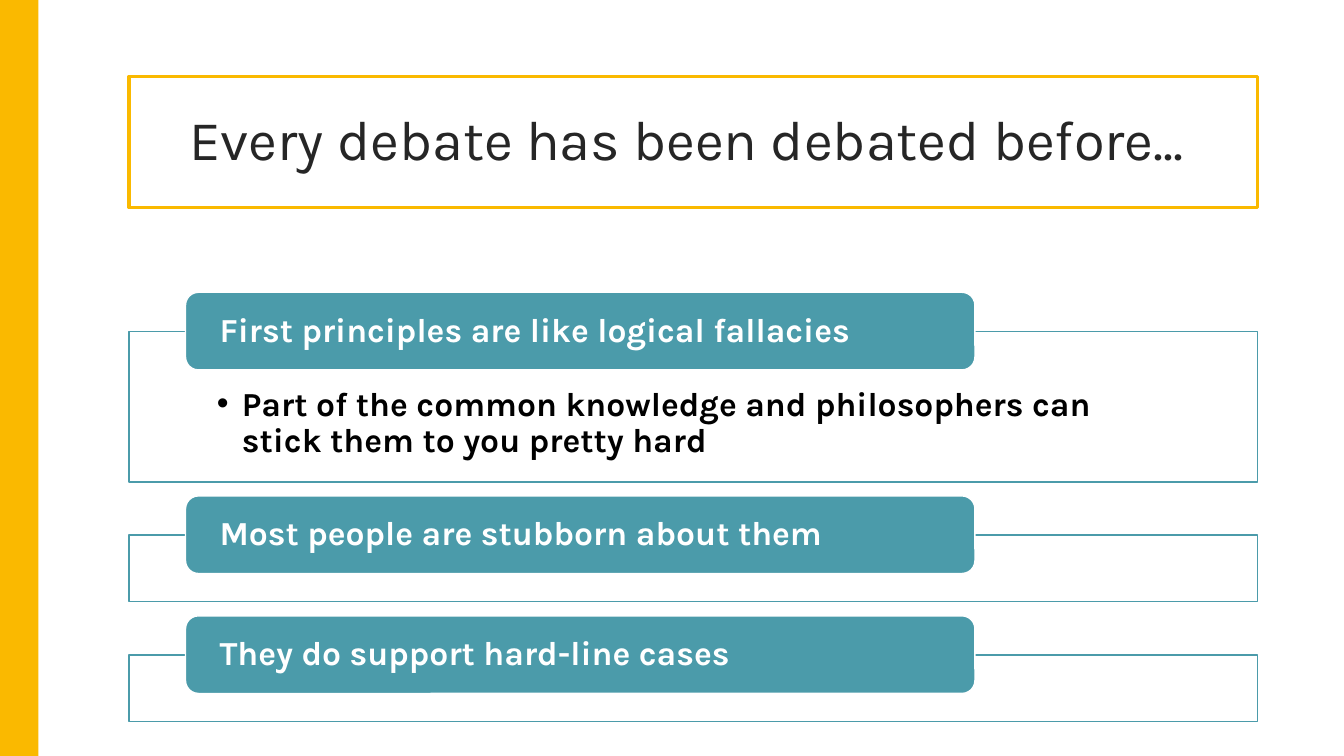
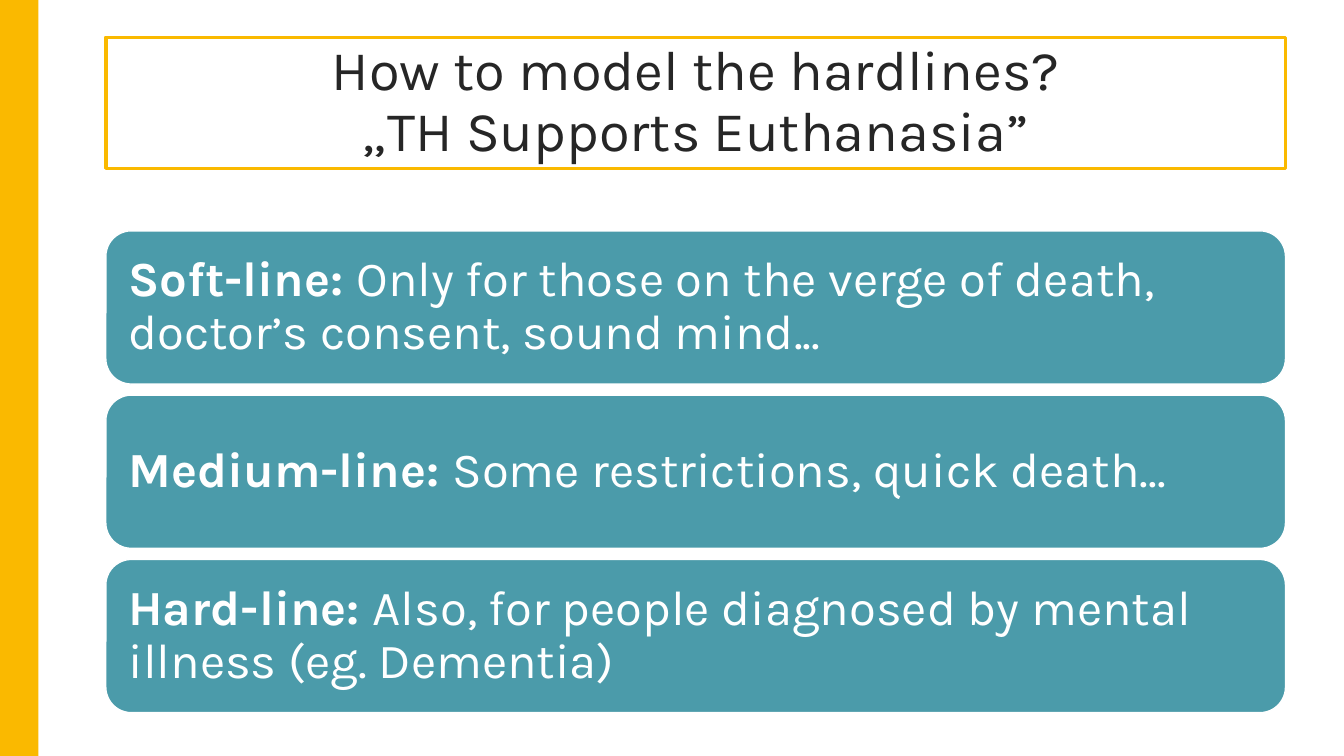
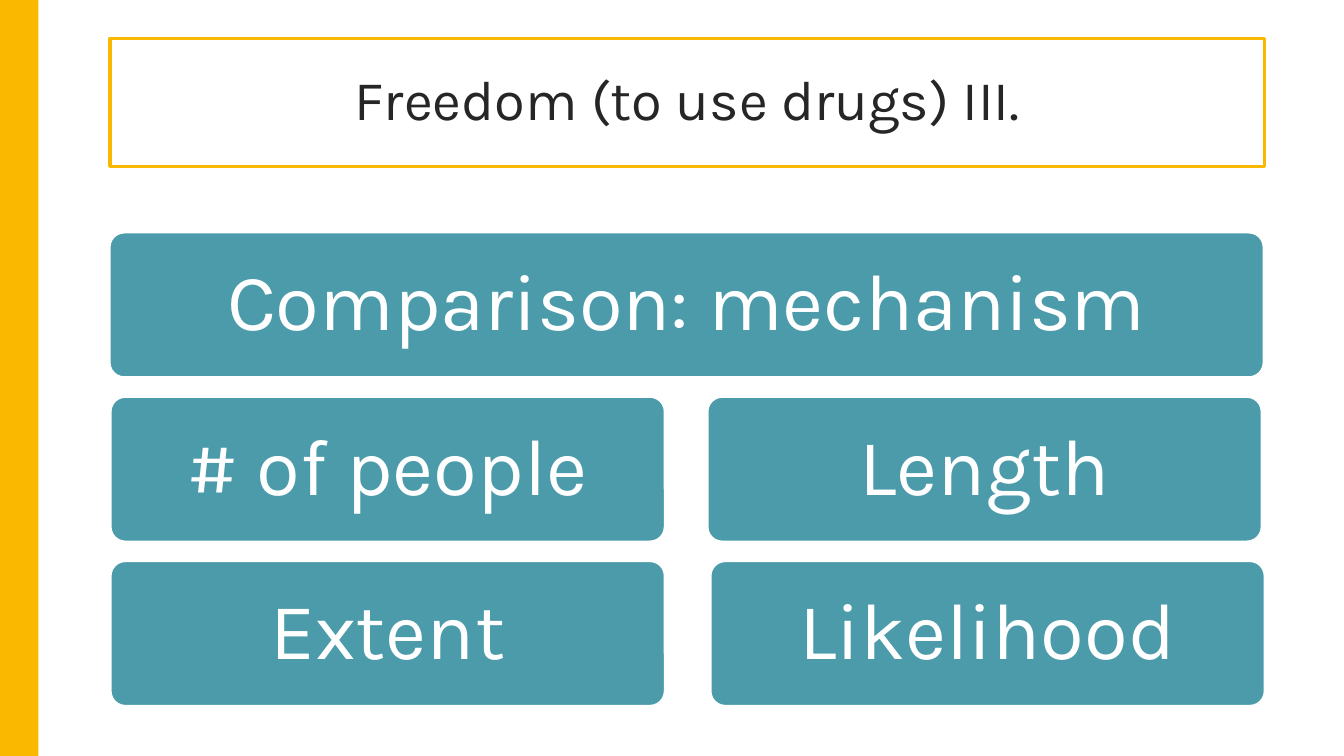
from dataclasses import dataclass
from typing import Any, NamedTuple

from pptx import Presentation
from pptx.dml.color import RGBColor
from pptx.enum.shapes import MSO_SHAPE as Preset
from pptx.enum.text import MSO_ANCHOR as Anchor, MSO_AUTO_SIZE as AutoSize, PP_ALIGN as Align
from pptx.util import Emu, Pt

# Shared values: 100 px to the inch
SCALE = 9144
FONT = "Karla"
GOLD = RGBColor(0xFA, 0xB9, 0x00)
TEAL = RGBColor(0x4B, 0x9B, 0xAA)
INK = RGBColor(0x26, 0x26, 0x26)
BLACK = RGBColor(0x00, 0x00, 0x00)
WHITE = RGBColor(0xFF, 0xFF, 0xFF)
TITLE_SIZE = 40
TITLE_ONLY, TITLE_AND_BODY = 5, 1


class Box(NamedTuple):
    left: int
    top: int
    width: int
    height: int


class Span(NamedTuple):
    text: str
    bold: bool = False


@dataclass(frozen=True)
class TextStyle:
    size: int
    color: RGBColor
    margins: tuple[int, int, int, int]  # left, top, right, bottom
    align: Align = Align.LEFT
    anchor: Anchor = Anchor.MIDDLE


TITLE = TextStyle(TITLE_SIZE, INK, (20, 20, 20, 20), Align.CENTER)
TAB = TextStyle(24, WHITE, (30, 0, 30, 0))
DETAIL = TextStyle(24, BLACK, (87, 55, 87, 19), anchor=Anchor.TOP)
CARD = TextStyle(35, WHITE, (15, 15, 15, 15))
TILE = TextStyle(57, WHITE, (24, 24, 24, 24), Align.CENTER)


def px(length: int) -> Emu:
    return Emu(length * SCALE)


def apply(target: Any, values: dict[str, Any]) -> None:
    for name, value in values.items():
        setattr(target, name, value)


def place(shape: Any, box: Box) -> None:
    apply(shape, {name: px(length) for name, length in box._asdict().items()})


def outline(shape: Any, color: RGBColor, width: float) -> None:
    shape.line.color.rgb = color
    shape.line.width = Pt(width)


def write(shape: Any, lines: list[list[Span]], style: TextStyle) -> Any:
    """Fill a shape with one paragraph, its lines parted by line breaks."""
    frame = shape.text_frame
    left, top, right, bottom = map(px, style.margins)
    apply(frame, {
        "word_wrap": True, "auto_size": AutoSize.NONE, "vertical_anchor": style.anchor,
        "margin_left": left, "margin_top": top, "margin_right": right, "margin_bottom": bottom,
    })
    para = frame.paragraphs[0]
    apply(para, {"alignment": style.align, "line_spacing": 0.9, "space_before": Pt(0)})
    for number, line in enumerate(lines):
        if number:
            para.add_line_break()
        for span in line:
            run = para.add_run()
            run.text = span.text
            apply(run.font, {"name": FONT, "size": Pt(style.size), "bold": span.bold})
            run.font.color.rgb = style.color
    return para


def add_block(page: Any, preset: Preset, box: Box, fill: RGBColor) -> Any:
    shape = page.shapes.add_shape(preset, *map(px, box))
    shape.shadow.inherit = False
    shape.fill.solid()
    shape.fill.fore_color.rgb = fill
    shape.line.fill.background()
    return shape


def add_panel(page: Any, box: Box, spans: list[Span], style: TextStyle,
              corner: float = 0.16667) -> None:
    panel = add_block(page, Preset.ROUNDED_RECTANGLE, box, TEAL)
    panel.adjustments[0] = corner
    outline(panel, WHITE, 1)
    write(panel, [spans], style)


def add_page(deck: Any, layout: int, box: Box, *title_lines: str) -> Any:
    page = deck.slides.add_slide(deck.slide_layouts[layout])
    title = page.shapes.title
    place(title, box)
    outline(title, GOLD, 2.5)
    write(title, [[Span(line)] for line in title_lines], TITLE)
    return page


def add_master_band(deck: Any, page: Any) -> None:
    """Draw the gold side band and move it to the slide master."""
    band = add_block(page, Preset.RECTANGLE, Box(0, 0, 38, 750), GOLD).element
    band.nvSpPr.cNvPr.set("id", "99")
    deck.slide_master.shapes.element.insert(2, band)


def build_debate(deck: Any) -> None:
    page = add_page(deck, TITLE_AND_BODY, Box(128, 76, 1119, 130),
                    "Every debate has been debated before... ")
    add_master_band(deck, page)

    # Bulleted detail in the first frame
    body = page.placeholders[1]
    detail = "Part of the common knowledge and philosophers can stick them to you pretty hard"
    para = write(body, [[Span(detail, True)]], DETAIL)
    apply_indent = {"marL": px(25), "indent": px(-25)}
    for name, length in apply_indent.items():
        para._p.get_or_add_pPr().set(name, str(length))

    # Frames, each with a tab over its top edge
    gap, overlap, top = 53, 39, 329
    sections = [
        ("First principles are like logical fallacies", 149),
        ("Most people are stubborn about them", 66),
        ("They do support hard-line cases", 66),
    ]
    for number, (heading, height) in enumerate(sections):
        box = Box(128, top, 1119, height)
        if number == 0:
            frame = body
            place(frame, box)
        else:
            frame = add_block(page, Preset.RECTANGLE, box, WHITE)
        outline(frame, TEAL, 1)
        add_panel(page, Box(184, top - overlap, 783, 77), [Span(heading, True)], TAB)
        top += height + gap


def build_hardlines(deck: Any) -> None:
    page = add_page(deck, TITLE_ONLY, Box(105, 37, 1170, 130),
                    "How to model the hardlines?", "„TH Supports Euthanasia”")
    cards = [
        ("Soft-line: ", "Only for those on the verge of death, doctor’s consent, sound mind..."),
        ("Medium-line: ", "Some restrictions, quick death..."),
        ("Hard-line: ", "Also, for people diagnosed by mental illness (eg. Dementia)"),
    ]
    for row, (label, text) in enumerate(cards):
        add_panel(page, Box(105, 229 + row * 163, 1170, 152),
                  [Span(label, True), Span(text)], CARD)


def build_freedom(deck: Any) -> None:
    page = add_page(deck, TITLE_ONLY, Box(109, 38, 1145, 127), "Freedom (to use drugs) III.")
    # Text, left, row and width of each tile
    tiles = [
        ("Comparison: mechanism", 109, 0, 1144),
        ("# of people", 110, 1, 549),
        ("Extent", 110, 2, 549),
        ("Length", 702, 1, 549),
        ("Likelihood", 705, 2, 549),
    ]
    for text, left, row, width in tiles:
        add_panel(page, Box(left, 231 + row * 163, width, 143), [Span(text)], TILE, 0.1)


def main() -> None:
    deck = Presentation()
    apply(deck, {"slide_width": px(1333), "slide_height": px(750)})
    title_font = deck.slide_master.element.xpath(".//p:titleStyle//a:defRPr")[0]
    title_font.set("sz", str(TITLE_SIZE * 100))
    for build in (build_debate, build_hardlines, build_freedom):
        build(deck)
    deck.save("out.pptx")


if __name__ == "__main__":
    main()
